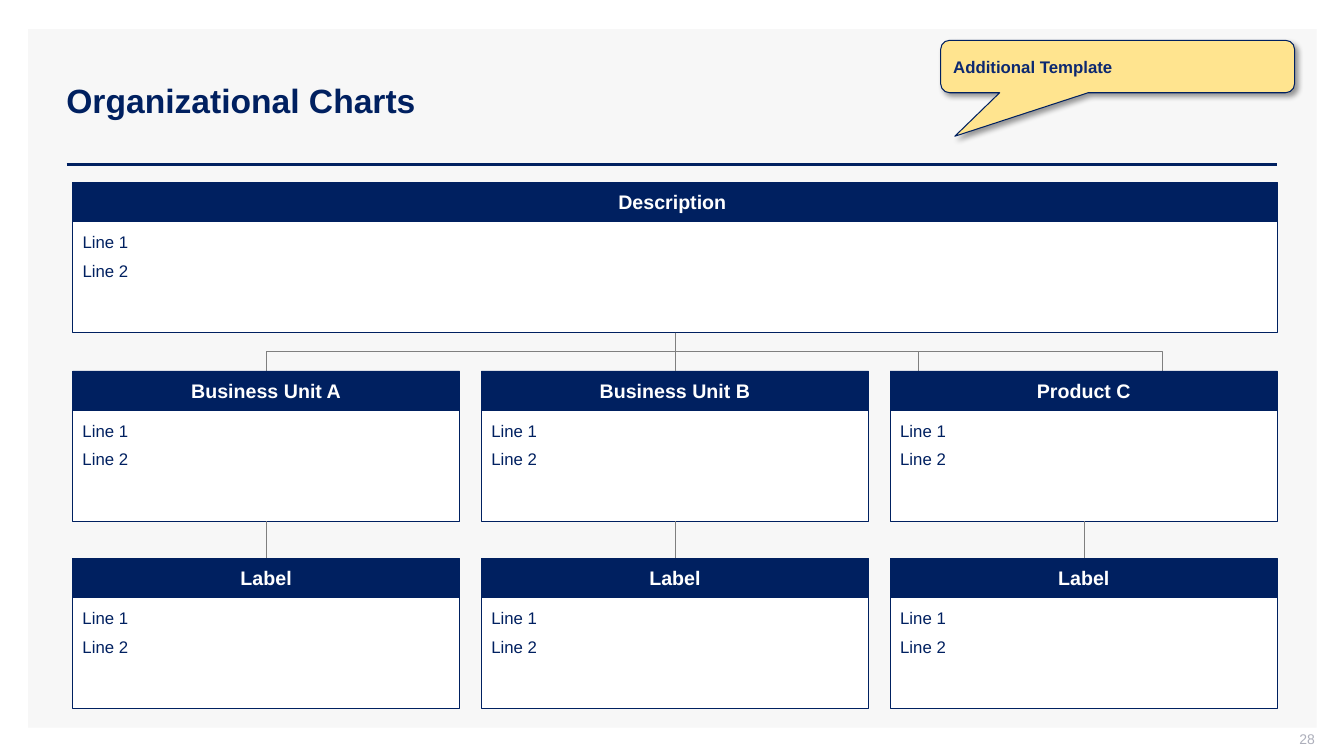
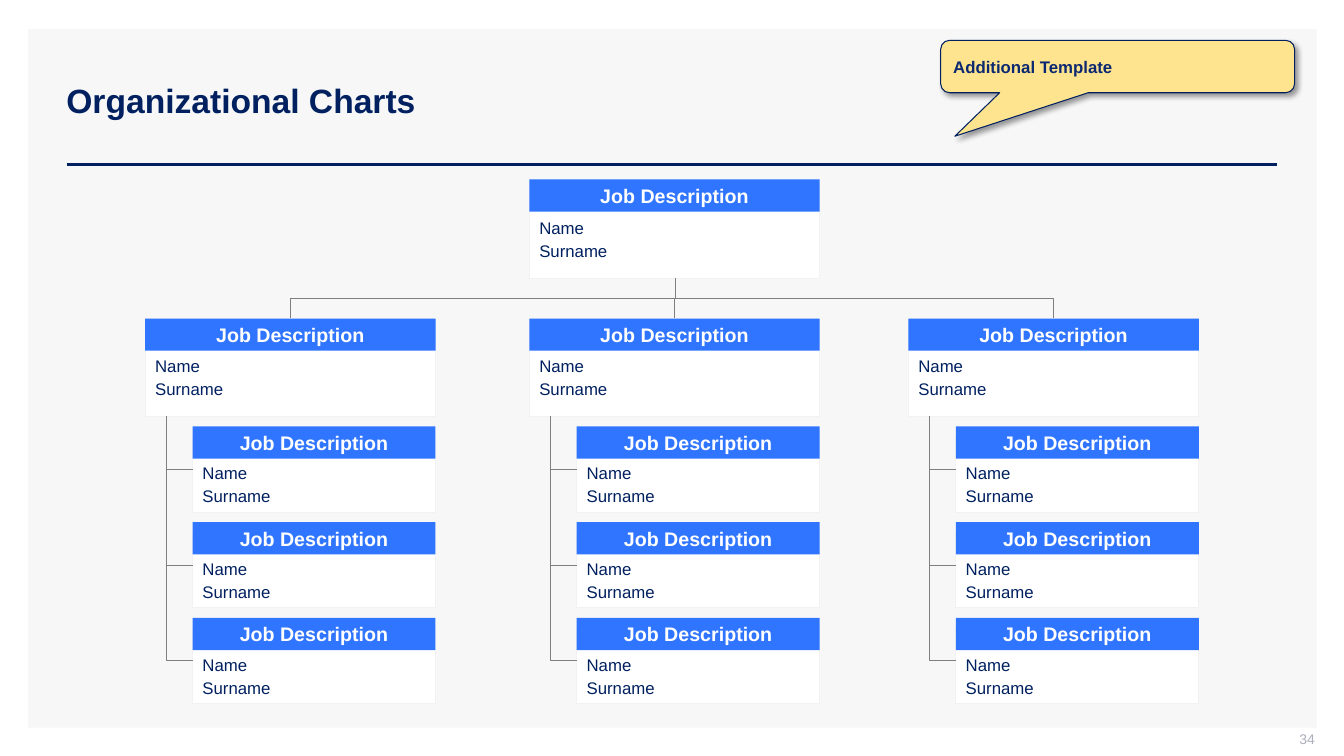
from dataclasses import dataclass
from lxml.etree import SubElement
from pptx import Presentation
from pptx.dml.color import RGBColor
from pptx.enum.shapes import MSO_CONNECTOR, MSO_SHAPE
from pptx.enum.text import MSO_ANCHOR, PP_ALIGN
from pptx.oxml.ns import qn
from pptx.util import Inches, Pt

# Shared colours and font
NAVY, BLUE, WHITE, PALE = "002060", "3075FF", "FFFFFF", "F7F7F7"
EDGE, GREY, MUTED = "F2F2F2", "7F7F7F", "ADAFBB"
SAND, INK = "FFE48F", "0C2870"
FONT = "Arial"


@dataclass(frozen=True)
class Look:
    """How a card's head and body are drawn."""
    head: str
    head_h: float
    head_edge: str | None
    edge: str
    weight: float
    inset: tuple
    anchor: MSO_ANCHOR
    gap: float


@dataclass(frozen=True)
class Card:
    """A titled box; drop is the body's offset below the head's top."""
    title: str
    lines: tuple
    x: float
    y: float
    w: float
    drop: float
    h: float

    @property
    def mid(self) -> float:
        return self.x + self.w / 2

    @property
    def base(self) -> float:
        return self.y + self.drop + self.h


UNIT = Look(NAVY, 0.39, NAVY, NAVY, 0.5, (0.1, 0.1, 0.1, 0.1), MSO_ANCHOR.TOP, 6)
JOB = Look(BLUE, 0.32, None, EDGE, 0.75, (0.1, 0.2, 0.1, 0), MSO_ANCHOR.MIDDLE, 2)


def tint(code: str) -> RGBColor:
    return RGBColor.from_string(code)


def write(shape, *lines: str, size=12, color=NAVY, bold=False,
          align=PP_ALIGN.LEFT, anchor=MSO_ANCHOR.MIDDLE,
          inset=(0.1, 0.05, 0.1, 0.05), gap=0):
    """Put lines of text into a shape."""
    frame = shape.text_frame
    frame.word_wrap = True
    frame.vertical_anchor = anchor
    (frame.margin_left, frame.margin_top,
     frame.margin_right, frame.margin_bottom) = map(Inches, inset)
    for i, line in enumerate(lines):
        para = frame.add_paragraph() if i else frame.paragraphs[0]
        para.text = line
        para.alignment = align
        para.space_after = Pt(gap)
        font = para.font
        font.name, font.size, font.bold = FONT, Pt(size), bold
        font.color.rgb = tint(color)


def label(slide, x: float, y: float, w: float, h: float, text: str, **form):
    box = slide.shapes.add_textbox(Inches(x), Inches(y), Inches(w), Inches(h))
    write(box, text, **form)


def block(slide, x: float, y: float, w: float, h: float, fill: str,
          edge: str | None = None, weight=0.5, kind=MSO_SHAPE.RECTANGLE):
    shape = slide.shapes.add_shape(kind, Inches(x), Inches(y), Inches(w), Inches(h))
    shape.shadow.inherit = False
    shape.fill.solid()
    shape.fill.fore_color.rgb = tint(fill)
    if edge:
        shape.line.color.rgb = tint(edge)
        shape.line.width = Pt(weight)
    else:
        shape.line.fill.background()
    return shape


# Lines
def wire(slide, x1: float, y1: float, x2: float, y2: float,
         color=GREY, weight=0.5, kind=MSO_CONNECTOR.STRAIGHT):
    line = slide.shapes.add_connector(
        kind, Inches(x1), Inches(y1), Inches(x2), Inches(y2))
    line.line.color.rgb = tint(color)
    line.line.width = Pt(weight)
    SubElement(line.element.spPr, qn("a:effectLst"))
    return line


def elbow(slide, x1: float, y1: float, x2: float, y2: float, bends=2):
    """Bent line that leaves downward; one bend ends sideways, two end down."""
    w, h = y2 - y1, abs(x2 - x1)
    cx, cy = (x1 + x2) / 2, (y1 + y2) / 2
    line = wire(slide, cx - w / 2, cy - h / 2, cx + w / 2, cy + h / 2,
                kind=MSO_CONNECTOR.ELBOW)
    props = line.element.spPr
    right = x2 > x1
    props.find(qn("a:xfrm")).set("rot", str((270 if right else 90) * 60000))
    if right:
        props.find(qn("a:xfrm")).set("flipH", "1")
    props.find(qn("a:prstGeom")).set("prst", f"bentConnector{bends + 1}")


def join(slide, top, low):
    """Straight line from the bottom of one box to the top of another."""
    line = wire(slide, 0, 0, 1, 1)
    line.begin_connect(top, 2)
    line.end_connect(low, 0)


def draw(slide, card: Card, look: Look):
    body = block(slide, card.x, card.y + card.drop, card.w, card.h,
                 WHITE, look.edge, look.weight)
    write(body, *card.lines, anchor=look.anchor, inset=look.inset, gap=look.gap)
    head = block(slide, card.x, card.y, card.w, look.head_h,
                 look.head, look.head_edge)
    write(head, card.title, size=14, color=WHITE, bold=True, align=PP_ALIGN.CENTER)
    return head, body


# Frame shared by all slides
def start(deck, title: str, page: int):
    slide = deck.slides.add_slide(deck.slide_layouts[6])
    block(slide, 0.28, 0.29, 12.78, 6.93, PALE)
    wire(slide, 0.66, 1.63, 12.67, 1.63, NAVY, 2)
    label(slide, 0.56, 0.4, 12.11, 1.19, title, size=24, bold=True)
    label(slide, 10.04, 7.25, 3, 0.21, str(page), size=10, color=MUTED,
          align=PP_ALIGN.RIGHT, inset=(0.1, 0, 0, 0.05))
    return slide


def callout(slide, text: str):
    note = block(slide, 9.33, 0.4, 3.51, 0.52, SAND, NAVY, 0.75,
                 MSO_SHAPE.ROUNDED_RECTANGULAR_CALLOUT)
    for i, value in enumerate((-0.46, 1.33, 0.17)):
        note.adjustments[i] = value
    cast = SubElement(note.element.spPr.find(qn("a:effectLst")), qn("a:outerShdw"),
                      blurRad=str(Pt(4)), dist=str(Pt(3)), dir=str(45 * 60000),
                      algn="tl", rotWithShape="0")
    shade = SubElement(cast, qn("a:srgbClr"), val="000000")
    SubElement(shade, qn("a:alpha"), val="40000")
    write(note, text, color=INK, bold=True)


# Chart of business units
def units(deck):
    slide = start(deck, "Organizational Charts", 28)
    left, wide, col = 0.72, 11.95, 3.84
    step = (wide - col) / 2
    tops = (1.81, 3.68, 5.54)

    def unit(title: str, x: float, y: float, w: float) -> Card:
        return Card(title, ("Line 1", "Line 2"), x, y, w, UNIT.head_h, 1.1)

    root = unit("Description ", left, tops[0], wide)
    _, trunk = draw(slide, root, UNIT)
    for x in (2.64, 9.11, 11.53):
        elbow(slide, root.mid, root.base, x, tops[1])
    for i, name in enumerate(("Business Unit A", "Business Unit B", "Product C")):
        x = left + i * step
        head, body = draw(slide, unit(name, x, tops[1], col), UNIT)
        low, _ = draw(slide, unit("Label", x, tops[2], col), UNIT)
        join(slide, body, low)
        if i == 1:
            join(slide, trunk, head)
    callout(slide, "Additional Template")


# Chart of jobs
def jobs(deck):
    slide = start(deck, "Organizational Charts", 34)
    wide, dent, stem = 2.88, 0.47, 0.21

    def job(x: float, y: float, w: float, drop: float, h: float) -> Card:
        return Card("Job Description", ("Name", "Surname"), x, y, w, drop, h)

    root = job(5.25, 1.78, wide, 0, 0.98)
    draw(slide, root, JOB)
    for x in (1.44, 5.25, 9.01):
        lead = job(x, 3.16, wide, 0, 0.97)
        draw(slide, lead, JOB)
        elbow(slide, 6.7, root.base, lead.mid, lead.y)
        for i in range(3):
            staff = job(x + dent, 4.23 + i * 0.95, wide - dent, 0.1, 0.75)
            draw(slide, staff, JOB)
            elbow(slide, x + stem, lead.base, staff.x,
                  (staff.y + staff.base) / 2, bends=1)
    callout(slide, "Additional Template")


def main():
    deck = Presentation()
    deck.slide_width, deck.slide_height = Inches(13.33), Inches(7.5)
    units(deck)
    jobs(deck)
    deck.save("out.pptx")


if __name__ == "__main__":
    main()
